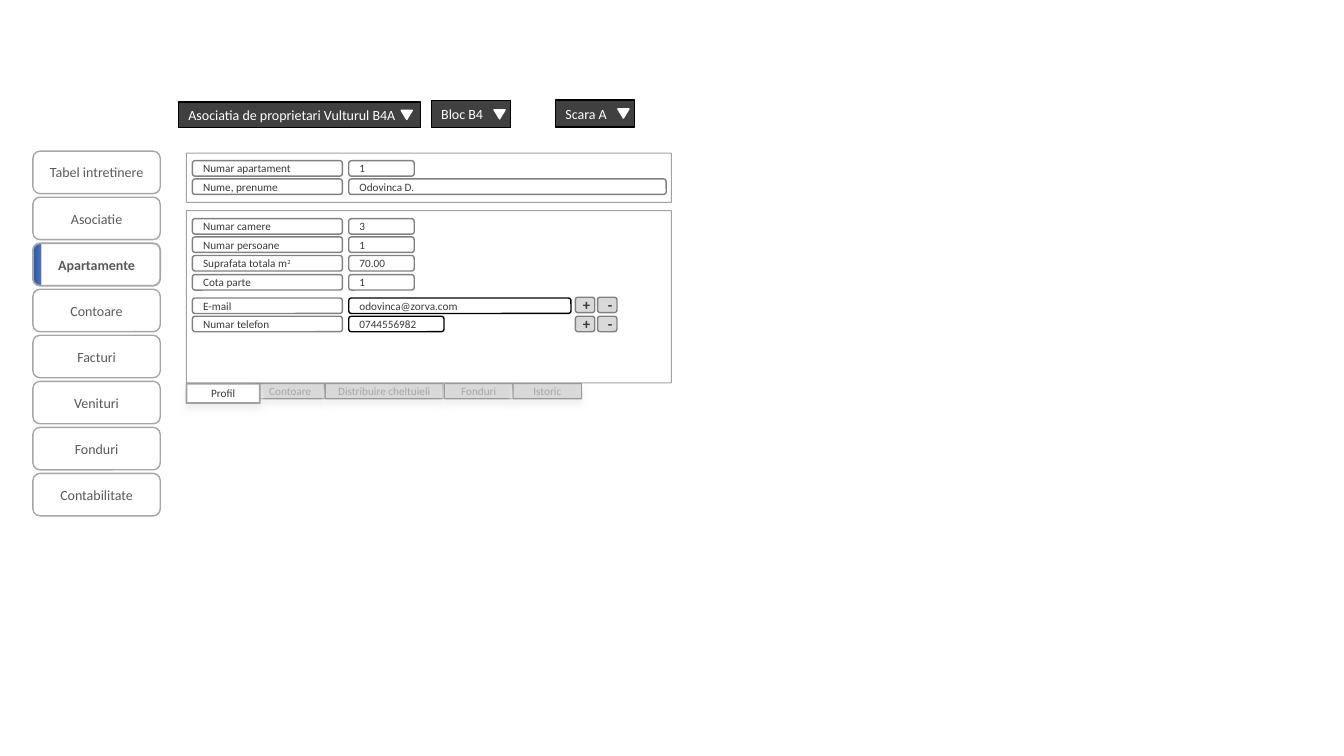
from lxml import etree
from pptx import Presentation
from pptx.dml.color import RGBColor
from pptx.enum.shapes import MSO_SHAPE
from pptx.enum.text import MSO_ANCHOR, PP_ALIGN
from pptx.oxml.ns import qn
from pptx.util import Cm, Pt

WHITE = RGBColor(0xFF, 0xFF, 0xFF)
BLACK = RGBColor(0x00, 0x00, 0x00)
CHARCOAL = RGBColor(0x40, 0x40, 0x40)
INK = RGBColor(0x3B, 0x38, 0x38)
MENU_TEXT = RGBColor(0x59, 0x59, 0x59)
GRAY = RGBColor(0x80, 0x80, 0x80)
MID_GRAY = RGBColor(0xA6, 0xA6, 0xA6)
LIGHT_GRAY = RGBColor(0xD9, 0xD9, 0xD9)
SHADOW = RGBColor(0xF2, 0xF2, 0xF2)
BLUE = RGBColor(0x44, 0x72, 0xC4)
DARK_BLUE = RGBColor(0x2F, 0x55, 0x97)

FONT = "Calibri"
ROW_HEIGHT = 0.39
LABEL_LEFT, LABEL_WIDTH = 4.85, 3.78
VALUE_LEFT = 8.79
PANEL_LEFT, PANEL_WIDTH = 4.7, 12.22

MENU = ["Tabel intretinere", "Asociatie", "Apartamente", "Contoare",
        "Facturi", "Venituri", "Fonduri", "Contabilitate"]
ACTIVE_MENU = "Apartamente"
DROPDOWNS = [
    ("Asociatia de proprietari Vulturul B4A", 4.5, 2.57, 6.1, 0.65, 10.11),
    ("Bloc B4", 10.87, 2.54, 1.99, 0.68, 12.45),
    ("Scara A", 14, 2.52, 1.99, 0.68, 15.57),
]
PANELS = [(3.86, 1.24), (5.31, 4.34)]
FIELDS = [
    ("Numar apartament", "1", 4.05, 1.65, GRAY),
    ("Nume, prenume", "Odovinca D.", 4.51, 8, GRAY),
    ("Numar camere", "3", 5.51, 1.65, GRAY),
    ("Numar persoane", "1", 5.97, 1.65, GRAY),
    ("Suprafata totala m", "70.00", 6.44, 1.65, GRAY),
    ("Cota parte", "1", 6.92, 1.65, GRAY),
    ("E-mail", "odovinca@zorva.com", 7.51, 5.6, BLACK),
    ("Numar telefon", "0744556982", 7.97, 2.4, BLACK),
]
SUPERSCRIPTS = {"Suprafata totala m": "2"}
BUTTON_TOPS = [7.49, 7.97]
BUTTONS = [("+", 14.5), ("-", 15.06)]
TABS = [("Contoare", 6.45, 1.73), ("Distribuire cheltuieli", 8.2, 2.97),
        ("Fonduri", 11.2, 1.73), ("Istoric", 12.93, 1.73)]


def add_box(page, kind, left, top, width, height, fill, line, weight=1):
    """Add a preset shape with a plain fill and outline and no shadow."""
    box = page.shapes.add_shape(kind, Cm(left), Cm(top), Cm(width), Cm(height))
    box.shadow.inherit = False
    if fill is None:
        box.fill.background()
    else:
        box.fill.solid()
        box.fill.fore_color.rgb = fill
    box.line.color.rgb = line
    box.line.width = Pt(weight)
    return box


def write(box, text, size, color, align=PP_ALIGN.LEFT, bold=False):
    """Write one vertically centred paragraph in a shape."""
    frame = box.text_frame
    frame.word_wrap = True
    frame.vertical_anchor = MSO_ANCHOR.MIDDLE
    frame.margin_top = frame.margin_bottom = 0
    para = frame.paragraphs[0]
    para.alignment = align
    para.font.name = FONT
    para.font.size = Pt(size)
    para.font.color.rgb = color
    para.font.bold = bold
    para.add_run().text = text
    return para


def add_color(parent, color):
    """Append an RGB colour element to an XML parent."""
    return etree.SubElement(parent, qn("a:srgbClr"), val=str(color))


def soften_line(box):
    """Make the outline of a shape partly transparent."""
    color = box.element.spPr.find(qn("a:ln")).find(".//" + qn("a:srgbClr"))
    etree.SubElement(color, qn("a:alpha"), val="72000")


def add_shadow(box):
    """Give a shape a pale shadow that falls downwards."""
    effects = box.element.spPr.find(qn("a:effectLst"))
    shadow = etree.SubElement(effects, qn("a:outerShdw"), blurRad=str(Pt(4)),
                              dist=str(Pt(4)), dir="5400000", rotWithShape="0")
    add_color(shadow, SHADOW)


def mark_active(box):
    """Fill a menu button with white and a blue band on its left edge."""
    properties = box.element.spPr
    gradient = etree.Element(qn("a:gradFill"), rotWithShape="1")
    stops = etree.SubElement(gradient, qn("a:gsLst"))
    for percent, color in [(93, WHITE), (94, BLUE), (100, DARK_BLUE), (100, WHITE)]:
        stop = etree.SubElement(stops, qn("a:gs"), pos=str(percent * 1000))
        add_color(stop, color)
    etree.SubElement(gradient, qn("a:lin"), ang="10800000", scaled="0")
    properties.replace(properties.find(qn("a:solidFill")), gradient)


def add_menu(page):
    """Stack the menu buttons at equal steps."""
    for index, text in enumerate(MENU):
        active = text == ACTIVE_MENU
        box = add_box(page, MSO_SHAPE.ROUNDED_RECTANGLE, 0.83, 3.81 + 1.16 * index,
                      3.21, 1.07, WHITE, MID_GRAY, 1.25 if active else 1)
        write(box, text, 10, MENU_TEXT, PP_ALIGN.CENTER, active)
        if active:
            mark_active(box)


def add_dropdown(page, text, left, top, width, height, arrow_left):
    """Add a dark selector with a triangle that points down."""
    box = add_box(page, MSO_SHAPE.RECTANGLE, left, top, width, height, CHARCOAL, BLACK)
    write(box, text, 10, WHITE)
    arrow = add_box(page, MSO_SHAPE.ISOSCELES_TRIANGLE, arrow_left,
                    top + (height - 0.23) / 2, 0.28, 0.23, WHITE, WHITE)
    arrow.rotation = 180


def add_panel(page, top, height):
    """Add a framed white panel behind the fields."""
    box = add_box(page, MSO_SHAPE.RECTANGLE, PANEL_LEFT, top, PANEL_WIDTH, height,
                  WHITE, GRAY, 0.75)
    soften_line(box)


def add_field(page, label, value, top, width, line):
    """Add a label box and the value box beside it."""
    label_box = add_box(page, MSO_SHAPE.ROUNDED_RECTANGLE, LABEL_LEFT, top,
                        LABEL_WIDTH, ROW_HEIGHT, None, GRAY)
    para = write(label_box, label, 8, INK)
    if label in SUPERSCRIPTS:
        para.add_run().text = SUPERSCRIPTS[label]
        para.runs[-1].font.size = Pt(8)
        list(label_box.element.iter(qn("a:rPr")))[-1].set("baseline", "30000")
    value_box = add_box(page, MSO_SHAPE.ROUNDED_RECTANGLE, VALUE_LEFT, top,
                        width, ROW_HEIGHT, None, line)
    write(value_box, value, 8, INK)


def add_button(page, sign, left, top):
    """Add a small gray button with a bold sign."""
    box = add_box(page, MSO_SHAPE.ROUNDED_RECTANGLE, left, top, 0.49, ROW_HEIGHT,
                  LIGHT_GRAY, GRAY)
    write(box, sign, 10.5, INK, PP_ALIGN.RIGHT, True)
    box.text_frame.margin_left = 0
    box.text_frame.margin_right = Cm(0.1)


def add_tab(page, text, left, width, height, fill, color, weight):
    """Add a tab that hangs below the lower panel."""
    box = add_box(page, MSO_SHAPE.RECTANGLE, left, 9.67, width, height,
                  fill, GRAY, weight)
    soften_line(box)
    add_shadow(box)
    write(box, text, 8, color, PP_ALIGN.CENTER)


def main():
    """Build the apartment profile screen and save the deck."""
    deck = Presentation()
    deck.slide_width, deck.slide_height = Cm(33.87), Cm(19.05)
    page = deck.slides.add_slide(deck.slide_layouts[6])
    add_menu(page)
    for dropdown in DROPDOWNS:
        add_dropdown(page, *dropdown)
    for panel in PANELS:
        add_panel(page, *panel)
    for field in FIELDS:
        add_field(page, *field)
    for top in BUTTON_TOPS:
        for sign, left in BUTTONS:
            add_button(page, sign, left, top)
    for text, left, width in TABS:
        add_tab(page, text, left, width, 0.38, LIGHT_GRAY, MID_GRAY, 0.75)
    add_tab(page, "Profil", PANEL_LEFT, 1.85, 0.49, WHITE, INK, 1.25)
    deck.save("out.pptx")


if __name__ == "__main__":
    main()
